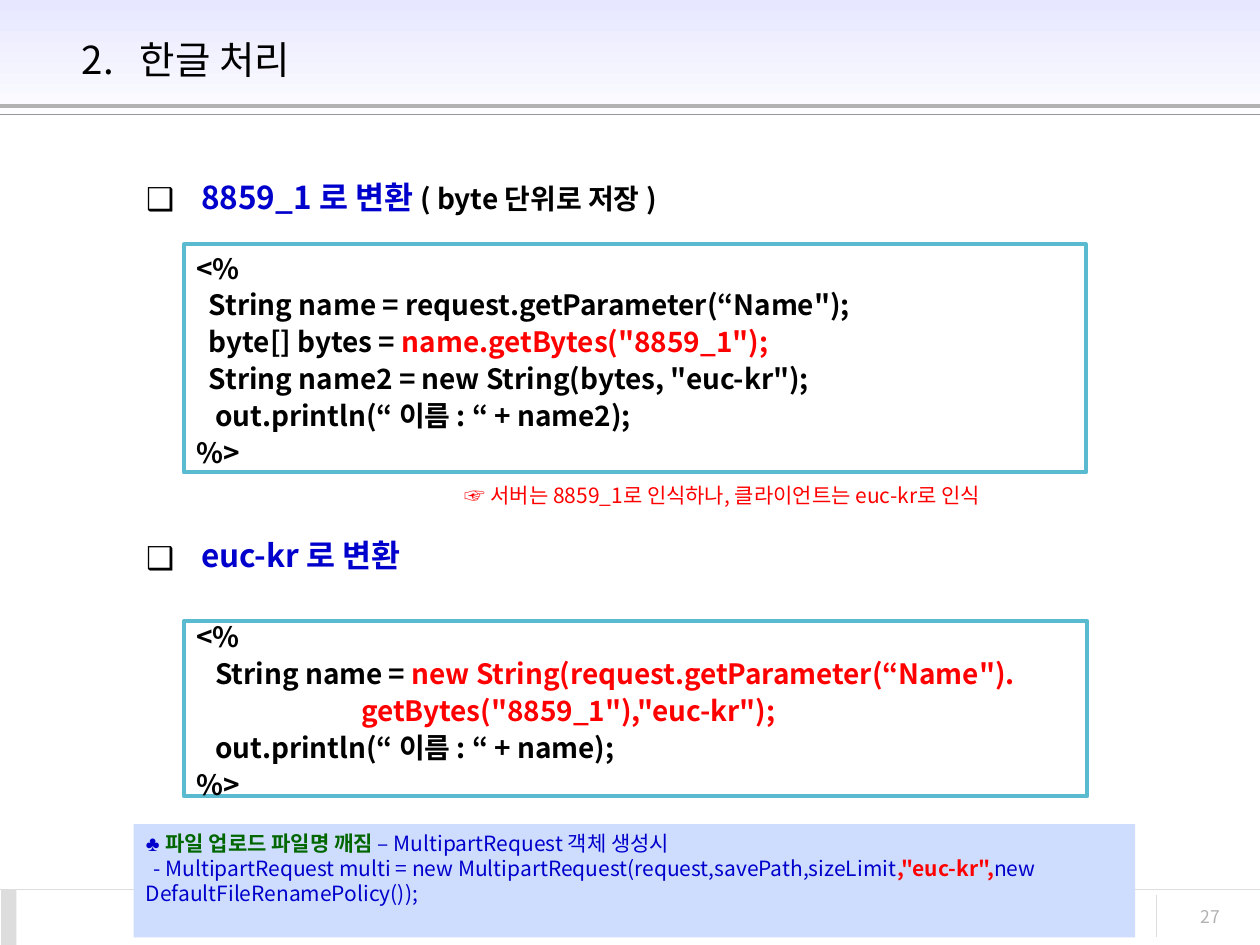
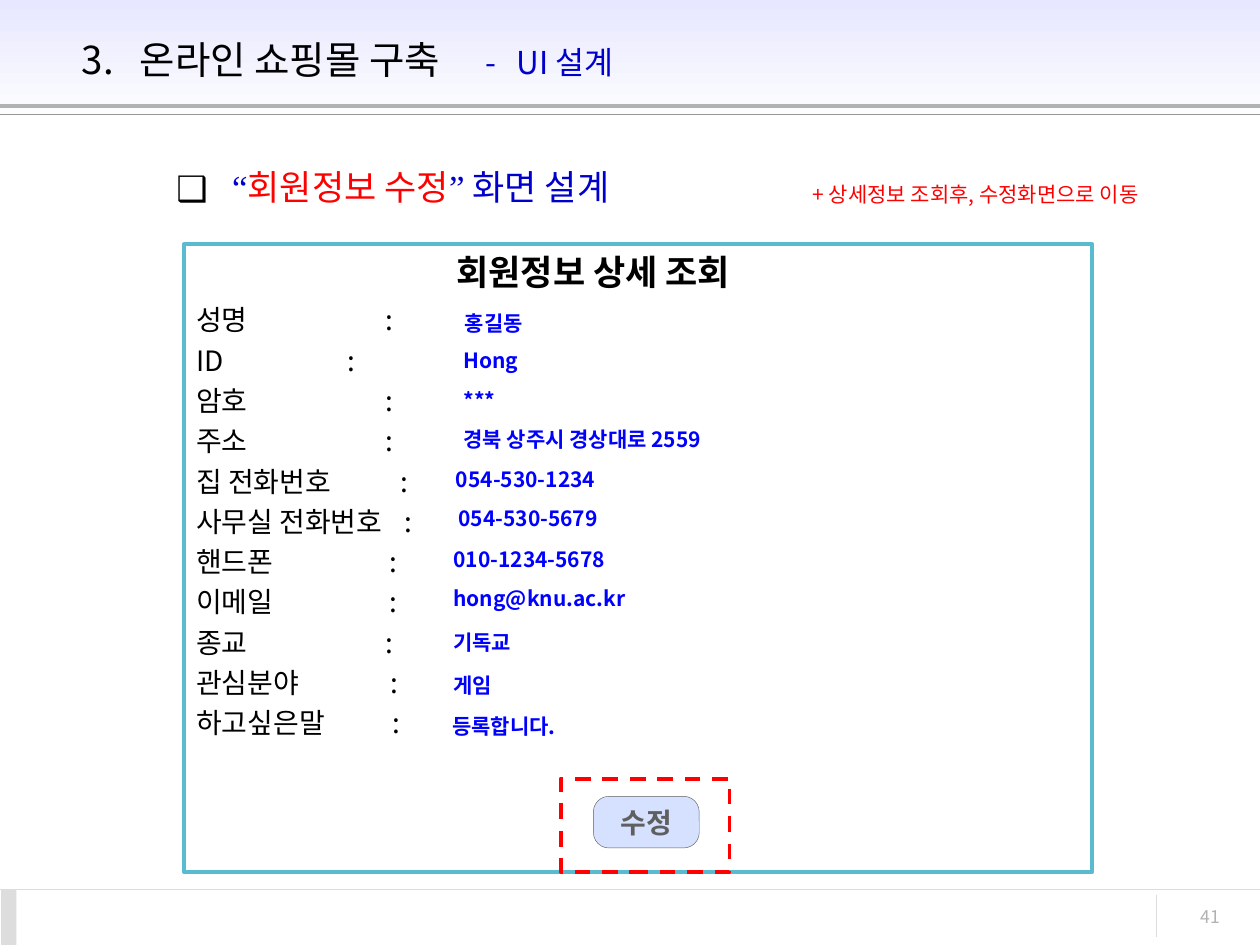
from lxml import etree
from pptx import Presentation
from pptx.dml.color import RGBColor
from pptx.enum import dml, shapes, text
from pptx.oxml.ns import qn
from pptx.util import Inches, Pt

COLORS = {
    "black": "000000", "white": "FFFFFF", "red": "FF0000", "navy": "0000CC",
    "value": "0000FF", "green": "006600", "frame": "5ABAD0", "note": "CEDCFE",
    "button": "D5E1FF", "button_ink": "5F5F5F", "band": "E7E7FF",
    "rule": "B2B2B2", "thin_rule": "969696", "footer": "DDDDDD",
}
SANS = "Noto Sans CJK KR"
SERIF = "Times New Roman"
MIDDLE = text.MSO_ANCHOR.MIDDLE
TOP = text.MSO_ANCHOR.TOP
LEFT, CENTER, RIGHT = text.PP_ALIGN.LEFT, text.PP_ALIGN.CENTER, text.PP_ALIGN.RIGHT


def color(name):
    return RGBColor.from_string(COLORS[name])


def add_run(paragraph, words, ink="black", size=16, bold=False, font=SANS):
    run = paragraph.add_run()
    run.text = words
    run.font.size = Pt(size)
    run.font.bold = bold
    run.font.color.rgb = color(ink)
    run.font.name = font
    east_asian = etree.SubElement(run._r.get_or_add_rPr(), qn("a:ea"))
    east_asian.set("typeface", font)


def add_tabs(paragraph, *stops):
    tab_list = etree.SubElement(paragraph._p.get_or_add_pPr(), qn("a:tabLst"))
    for stop in stops:
        etree.SubElement(tab_list, qn("a:tab"), pos=str(Inches(stop)), algn="l")


def add_bullet(paragraph):
    """Hang a black box bullet in front of the paragraph."""
    props = paragraph._p.get_or_add_pPr()
    props.set("marL", str(Inches(0.38)))
    props.set("indent", str(Inches(-0.38)))
    ink = etree.SubElement(props, qn("a:buClr"))
    etree.SubElement(ink, qn("a:srgbClr"), val=COLORS["black"])
    etree.SubElement(props, qn("a:buFont"), typeface=SANS)
    etree.SubElement(props, qn("a:buChar"), char="❑")


def place(shape, box):
    shape.left, shape.top, shape.width, shape.height = map(Inches, box)


def set_frame(frame, anchor=TOP, wrap=False):
    frame.auto_size = text.MSO_AUTO_SIZE.NONE
    frame.word_wrap = wrap
    frame.vertical_anchor = anchor


def write_lines(frame, lines, align=LEFT, spacing=1.0):
    """Write each line, given as a list of add_run arguments, as a paragraph."""
    for i, line in enumerate(lines):
        paragraph = frame.paragraphs[0] if i == 0 else frame.add_paragraph()
        paragraph.alignment = align
        paragraph.line_spacing = spacing
        for run in line:
            add_run(paragraph, *run)


def add_box(slide, box, fill=None, line=None, weight=2.25,
            kind=shapes.MSO_SHAPE.RECTANGLE):
    shape = slide.shapes.add_shape(kind, *map(Inches, box))
    shape.shadow.inherit = False
    if fill:
        shape.fill.solid()
        shape.fill.fore_color.rgb = color(fill)
    else:
        shape.fill.background()
    if line:
        shape.line.color.rgb = color(line)
        shape.line.width = Pt(weight)
    else:
        shape.line.fill.background()
    return shape


def add_label(slide, box, run, align=LEFT, anchor=TOP):
    label = slide.shapes.add_textbox(*map(Inches, box))
    set_frame(label.text_frame, anchor)
    write_lines(label.text_frame, [[run]], align)


def add_rule(slide, start, end, ink, weight=0.75):
    rule = slide.shapes.add_connector(
        shapes.MSO_CONNECTOR.STRAIGHT, *map(Inches, start + end))
    rule.line.color.rgb = color(ink)
    rule.line.width = Pt(weight)
    etree.SubElement(rule._element.spPr, qn("a:effectLst"))
    return rule


def move_to_layout(layout, parts):
    for i, part in enumerate(parts):
        layout.shapes._spTree.insert(2 + i, part._element)


def add_bands(slide):
    """Draw header and footer bands and hand them to the slide's layout."""
    header = add_box(slide, (0, 0, 10, 1), "band")
    header.fill.gradient()
    header.fill.gradient_angle = 270
    for stop, ink in zip(header.fill.gradient_stops, ("band", "white")):
        stop.color.rgb = color(ink)
    move_to_layout(slide.slide_layout, [
        header,
        add_rule(slide, (0, 0.84), (10, 0.84), "rule", 2.25),
        add_rule(slide, (0, 0.91), (10, 0.91), "thin_rule"),
        add_rule(slide, (0, 7.06), (10, 7.06), "footer"),
        add_box(slide, (0.01, 7.06, 0.12, 0.44), "footer"),
        add_rule(slide, (9.18, 7.1), (9.18, 7.44), "footer"),
    ])


def start_slide(prs, number, tabs, *title_runs):
    slide = prs.slides.add_slide(prs.slide_layouts[1])
    title = slide.shapes.title
    place(title, (0.55, 0.13, 8.63, 0.68))
    set_frame(title.text_frame, MIDDLE, wrap=True)
    add_tabs(title.text_frame.paragraphs[0], *tabs)
    write_lines(title.text_frame, [title_runs])
    add_label(slide, (8.86, 7.14, 0.92, 0.33), (number, "rule", 10), RIGHT)
    return slide


def fill_headings(slide, box, headings, gap=0, spacing=1.0):
    body = slide.placeholders[1]
    place(body, box)
    set_frame(body.text_frame, wrap=True)
    write_lines(body.text_frame, headings, spacing=spacing)
    for i, paragraph in enumerate(body.text_frame.paragraphs):
        paragraph.space_before = Pt(gap if i else 0)
        add_bullet(paragraph)


def add_code(slide, box, lines):
    code = add_box(slide, box, "white", "frame")
    set_frame(code.text_frame, MIDDLE)
    write_lines(code.text_frame, lines, spacing=1.1)


def code_line(plain, marked=""):
    runs = [(plain, "black", 16, True), (marked, "red", 16, True)]
    return [run for run in runs if run[0]]


def build_encoding_slide(prs):
    slide = start_slide(prs, "27", [0.46], ("2.\t한글 처리", "black", 22))
    add_bands(slide)
    fill_headings(slide, (1.06, 1.27, 8.67, 4.95), [
        [(" 8859_1 로 변환 ", "navy", 18, True),
         ("( byte 단위로 저장 )", "black", 16, True)],
        [(" euc-kr 로 변환", "navy", 18, True)],
    ], gap=177, spacing=1.3)
    add_code(slide, (1.46, 1.94, 7.16, 1.81), [
        code_line("<%"),
        code_line('  String name = request.getParameter(“Name");'),
        code_line("  byte[] bytes = ", 'name.getBytes("8859_1");'),
        code_line('  String name2 = new String(bytes, "euc-kr");'),
        code_line("   out.println(“ 이름 : “ + name2);"),
        code_line("%>"),
    ])
    add_code(slide, (1.46, 4.93, 7.17, 1.39), [
        code_line("<%"),
        code_line("   String name = ", 'new String(request.getParameter(“Name").'),
        code_line("", '                          getBytes("8859_1"),"euc-kr");'),
        code_line("   out.println(“ 이름 : “ + name);"),
        code_line("%>"),
    ])
    upload_note = add_box(slide, (1.06, 6.54, 7.95, 0.9), "note").text_frame
    set_frame(upload_note, wrap=True)
    write_lines(upload_note, [
        [("♣ ", "navy", 12, False, "Arial"),
         ("파일 업로드 파일명 깨짐 ", "green", 12, True),
         ("– MultipartRequest 객체 생성시", "navy", 12)],
        [("- MultipartRequest multi = new MultipartRequest(request,savePath,sizeLimit",
          "navy", 12),
         (',"euc-kr",', "red", 12, True),
         ("new DefaultFileRenamePolicy());", "navy", 12)],
    ])
    upload_note.paragraphs[1]._p.get_or_add_pPr().set("indent", str(Inches(0.06)))
    add_label(slide, (3.59, 3.78, 4.98, 0.3),
              ("☞ 서버는 8859_1로 인식하나, 클라이언트는 euc-kr로 인식", "red", 12))


# label, colon offset, value, left and top of the value
MEMBER_FIELDS = [
    ("성명", 1.5, "홍길동", 3.59, 2.46),
    ("ID", 1.2, "Hong", 3.58, 2.75),
    ("암호", 1.5, "***", 3.58, 3.07),
    ("주소", 1.5, "경북 상주시 경상대로 2559", 3.58, 3.38),
    ("집 전화번호", 1.62, "054-530-1234", 3.52, 3.7),
    ("사무실 전화번호", 1.65, "054-530-5679", 3.54, 4.01),
    ("핸드폰", 1.53, "010-1234-5678", 3.5, 4.33),
    ("이메일", 1.53, "hong@knu.ac.kr", 3.5, 4.64),
    ("종교", 1.5, "기독교", 3.5, 4.99),
    ("관심분야", 1.54, "게임", 3.5, 5.33),
    ("하고싶은말", 1.56, "등록합니다.", 3.49, 5.66),
]


def add_member_form(slide):
    form = add_box(slide, (1.46, 1.94, 7.21, 4.98), "white", "frame").text_frame
    set_frame(form, MIDDLE, wrap=True)
    form.margin_bottom = Inches(0.69)
    write_lines(form, [[(f"{field[0]}\t:",)] for field in MEMBER_FIELDS], spacing=1.2)
    for paragraph, (_, colon, value, left, top) in zip(form.paragraphs, MEMBER_FIELDS):
        add_tabs(paragraph, colon)
        add_label(slide, (left, top, 2.09, 0.21), (value, "value", 12, True),
                  anchor=MIDDLE)
    add_label(slide, (3.51, 1.94, 2.4, 0.44),
              ("회원정보 상세 조회", "black", 20, True), CENTER)


def add_edit_button(slide):
    button = add_box(slide, (4.71, 6.32, 0.84, 0.41), "button", "button_ink", 0.25,
                     shapes.MSO_SHAPE.ROUNDED_RECTANGLE)
    button.adjustments[0] = 0.3
    set_frame(button.text_frame, MIDDLE)
    write_lines(button.text_frame, [[("수정", "button_ink", 16, True)]], CENTER)
    highlight = add_box(slide, (4.45, 6.18, 1.34, 0.74), line="red")
    highlight.line.dash_style = dml.MSO_LINE.DASH


def build_member_slide(prs):
    slide = start_slide(prs, "41", [0.46, 3.2, 3.45],
                        ("3.\t온라인 쇼핑몰 구축\t", "black", 22),
                        ("-\tUI 설계", "navy", 18))
    fill_headings(slide, (1.3, 1.26, 6.43, 0.82), [[
        (" ", "navy", 20),
        ("“", "navy", 20, False, SERIF),
        ("회원정보 수정", "red", 20),
        ("”", "navy", 20, False, SERIF),
        (" 화면 설계", "navy", 20),
    ]])
    add_member_form(slide)
    add_edit_button(slide)
    add_label(slide, (6.35, 1.39, 3.19, 0.3),
              ("+ 상세정보 조회후, 수정화면으로 이동", "red", 12))


def main():
    prs = Presentation()
    prs.slide_width, prs.slide_height = Inches(10), Inches(7.5)
    build_encoding_slide(prs)
    build_member_slide(prs)
    prs.save("out.pptx")


if __name__ == "__main__":
    main()
